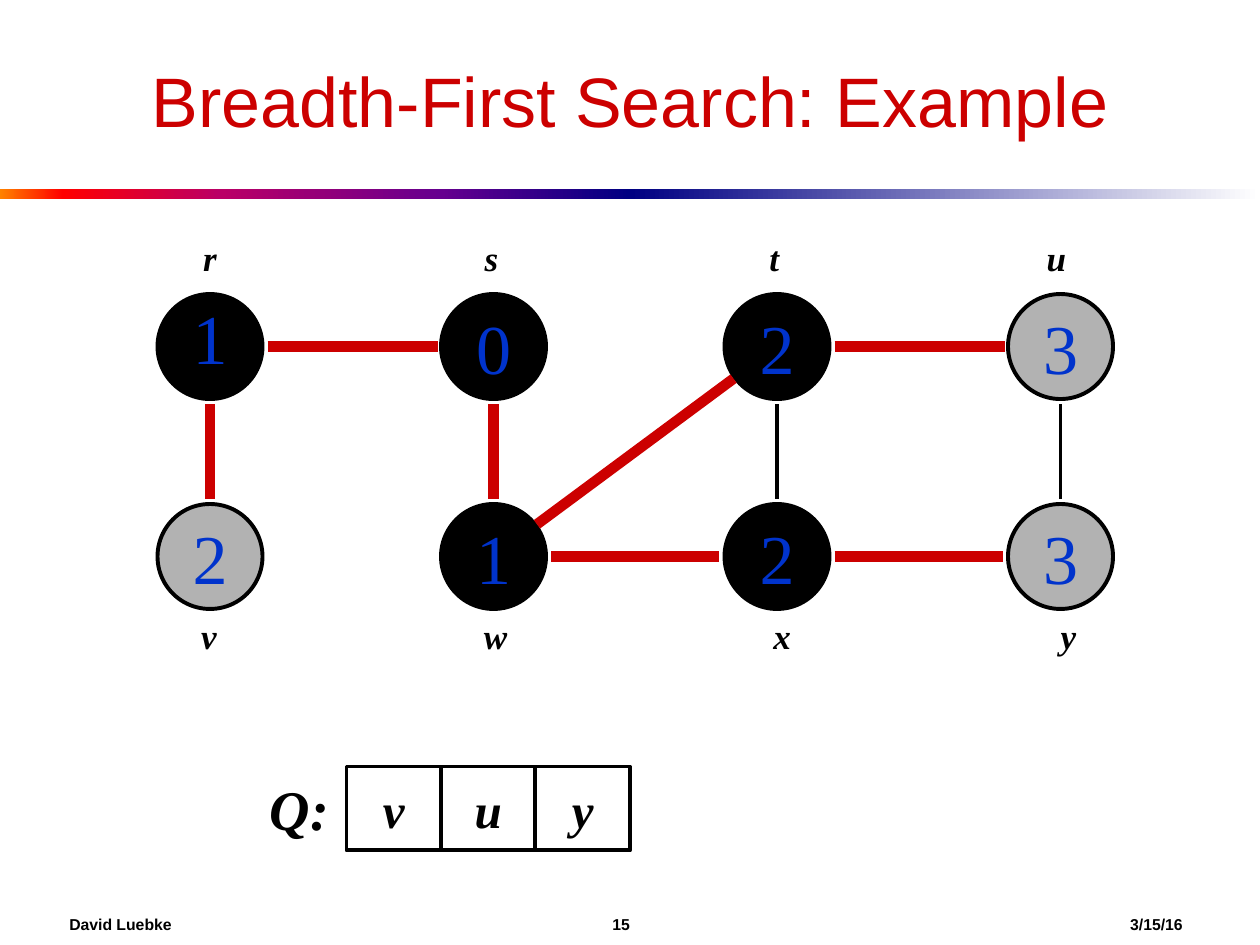
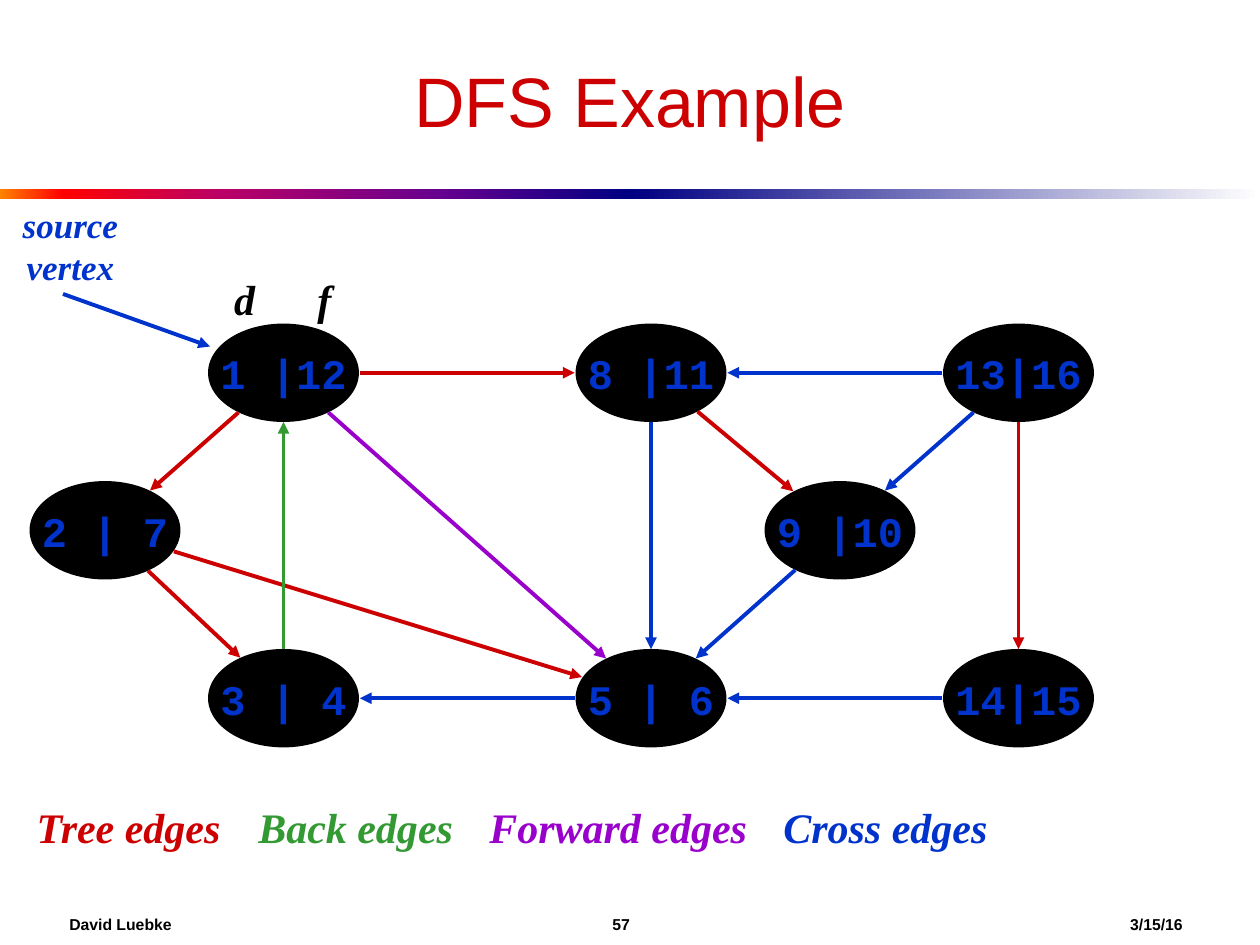
import math

import lxml.etree
import pptx
import pptx.dml.color
import pptx.enum.shapes
import pptx.enum.text
import pptx.oxml.ns
import pptx.util

WIDE, HIGH = 10, 7.5
COLS = 120  # the slide is a grid of 120 by 90 square units
UNIT = WIDE / COLS

HUES = {
    "ink": "000000", "paper": "FFFFFF", "grey": "B2B2B2", "red": "CC0000",
    "blue": "0033CC", "green": "339933", "violet": "9900CC", "navy": "000082",
}
WARM = [(0, "FF8200"), (10, "FF0000"), (35, "BA0066"), (70, "66008F"), (100, HUES["navy"])]
COOL = [(0, HUES["navy"]), (100, HUES["paper"])]

SANS, SERIF, MONO = "Arial", "Times New Roman", "Courier New"
ALIGN = pptx.enum.text.PP_ALIGN
KIND = pptx.enum.shapes.MSO_SHAPE
THIN, THICK = 2.25, 6


# Shared helpers
def grid(*units):
    return [pptx.util.Inches(unit * UNIT) for unit in units]


def shade(hue):
    return pptx.dml.color.RGBColor.from_string(HUES[hue])


def tag(parent, name, **attrs):
    return lxml.etree.SubElement(parent, pptx.oxml.ns.qn(name), attrs)


def write(shape, text, size, hue, face=SERIF, bold=False, slant=False,
          align=ALIGN.CENTER, wrap=True, lead=None):
    frame = shape.text_frame
    frame.word_wrap = wrap
    frame.vertical_anchor = pptx.enum.text.MSO_ANCHOR.MIDDLE
    frame.margin_left = frame.margin_right = pptx.util.Inches(0.05)
    frame.margin_top = frame.margin_bottom = pptx.util.Inches(0.05)
    para = frame.paragraphs[0]
    para.text = text
    para.alignment = align
    if lead:
        para.line_spacing = lead
    font = para.font
    font.name, font.size = face, pptx.util.Pt(size)
    font.bold, font.italic = bold, slant
    font.color.rgb = shade(hue)
    return para


def label(slide, box, text, size, hue, **style):
    area = slide.shapes.add_textbox(*grid(*box))
    return write(area, text, size, hue, **style)


def note(slide, box, text, size, hue="ink", **style):
    return label(slide, box, text, size, hue, bold=True, slant=True, **style)


def solid(slide, kind, box, fill=None):
    shape = slide.shapes.add_shape(kind, *grid(*box))
    shape.shadow.inherit = False
    if fill:
        shape.fill.solid()
        shape.fill.fore_color.rgb = shade(fill)
    else:
        shape.fill.background()
    shape.line.color.rgb = shade("ink")
    shape.line.width = pptx.util.Pt(THIN)
    return shape


def link(slide, start, end, hue, width=THIN, arrow=False):
    line = slide.shapes.add_connector(
        pptx.enum.shapes.MSO_CONNECTOR.STRAIGHT, *grid(*start, *end))
    line.line.color.rgb = shade(hue)
    line.line.width = pptx.util.Pt(width)
    props = line._element.spPr
    if arrow:
        tag(props.find(pptx.oxml.ns.qn("a:ln")), "a:tailEnd", type="triangle")
    tag(props, "a:effectLst")


# Frame: title, band and footer
def band(slide, box, stops):
    bar = solid(slide, KIND.RECTANGLE, box)
    bar.line.fill.background()
    bar.fill.gradient()
    bar.fill.gradient_angle = 0
    ramp = bar._element.spPr.find(".//" + pptx.oxml.ns.qn("a:gsLst"))
    for stop in list(ramp):
        ramp.remove(stop)
    for share, code in stops:
        stop = tag(ramp, "a:gs", pos=str(share * 1000))
        tag(stop, "a:srgbClr", val=code)


def foot(slide, box, number):
    para = label(slide, box, f"David Luebke\t{number}\t3/15/16", 9, "ink",
                 face=SANS, bold=True, align=ALIGN.LEFT)
    tabs = lxml.etree.Element(pptx.oxml.ns.qn("a:tabLst"))
    for stop in (4.31, 8.42):
        tag(tabs, "a:tab", pos=str(pptx.util.Inches(stop)), algn="l")
    para._p.get_or_add_pPr().insert(0, tabs)


def page(deck, title, number):
    slide = deck.slides.add_slide(deck.slide_layouts[6])
    half = COLS / 2
    band(slide, (0, 18, half, 1), WARM)
    band(slide, (half, 18, half, 1), COOL)
    foot(slide, (6, 86.6, 108, 2.9), number)
    label(slide, (6, 3, 108, 13), title, 40, "red", face=SANS)
    return slide


# Graphs: oval nodes, and edges along the lines between their centres
def rim(here, there, span, swell):
    """Point where the line to there leaves the oval, swollen a little."""
    across, down = there[0] - here[0], there[1] - here[1]
    reach = swell / math.hypot(across / (span[0] / 2), down / (span[1] / 2))
    return here[0] + across * reach, here[1] + down * reach


def graph(slide, box, span, nodes, edges, **style):
    """Draw nodes name: (col, row, text, fill), and return their centres."""
    mids = {}
    for name, (col, row, text, fill) in nodes.items():
        left, top = box[0] + col, box[1] + row
        oval = solid(slide, KIND.OVAL, (left, top, *span), fill)
        lead = 0.7 if name == "r" else None
        write(oval, text, hue="blue", wrap=False, lead=lead, **style)
        mids[name] = left + span[0] / 2, top + span[1] / 2
    for tail, head, hue, width, arrow, out, into in edges:
        start = rim(mids[tail], mids[head], span, out)
        end = rim(mids[head], mids[tail], span, into)
        link(slide, start, end, hue, width, arrow)
    return mids


def queue(slide, box, items):
    left, top, wide, high = box
    note(slide, (left, top, 7, high), "Q:", 32)
    step = (wide - 8) / len(items)
    for spot, item in enumerate(items):
        cell = solid(slide, KIND.RECTANGLE, (left + 8 + spot * step, top, step, high))
        write(cell, item, 28, "ink", bold=True, slant=True)


def legend(slide, box, kinds):
    left, top, wide, high = box
    ends = [col for col, text, hue in kinds[1:]] + [wide]
    for (col, text, hue), end in zip(kinds, ends):
        note(slide, (left + col, top, end - col, high), text, 24, hue, align=ALIGN.LEFT)


# Breadth-first slide
def breadth(deck):
    slide = page(deck, "Breadth-First Search: Example", 15)
    rows = [
        [("r", "1", "ink", 0), ("s", "0", "ink", -0.2),
         ("t", "2", "ink", -0.25), ("u", "3", "grey", -0.4)],
        [("v", "2", "grey", -0.1), ("w", "1", "ink", 0.2),
         ("x", "2", "ink", 0.5), ("y", "3", "grey", 0.75)],
    ]
    nodes, shifts = {}, {}
    for row, line in enumerate(rows):
        for col, (name, text, fill, shift) in enumerate(line):
            nodes[name] = (col * 27, row * 20, text, fill)
            shifts[name] = shift
    pairs = [
        ("v", "r", "red", 1.1, 1.1), ("r", "s", "red", 1.1, 1.05),
        ("w", "s", "red", 1.1, 1.1), ("w", "t", "red", 1.03, 1.03),
        ("w", "x", "red", 1.1, 1.1), ("x", "t", "ink", 1.1, 1.1),
        ("t", "u", "red", 1.1, 1.05), ("x", "y", "red", 1.1, 1.1),
        ("y", "u", "ink", 1.1, 1.1),
    ]
    edges = [(tail, head, hue, THICK if hue == "red" else THIN, False, out, into)
             for tail, head, hue, out, into in pairs]
    box = (15, 28, 91, 30)
    mids = graph(slide, box, (10, 10), nodes, edges, size=40)
    for name, (mid, level) in mids.items():
        top = box[1] - 6 if nodes[name][1] == 0 else box[1] + box[3]
        note(slide, (mid + shifts[name] - 3, top, 6, 5), name, 20)
    queue(slide, (25, 73, 35, 8), "vuy")


# Depth-first slide
def depth(deck):
    slide = page(deck, "DFS Example", 57)
    spots = {
        "a": (17, 0, "1 |12"), "b": (52, 0, "8 |11"), "c": (87, 0, "13|16"),
        "d": (0, 15, "2 | 7"), "e": (70, 15, "9 |10"),
        "f": (17, 31, "3 | 4"), "g": (52, 31, "5 | 6"), "h": (87, 31, "14|15"),
    }
    nodes = {name: (*spot, "ink") for name, spot in spots.items()}
    kinds = {
        "red": ("ad", "df", "dg", "ab", "be", "ch"),
        "green": ("fa",),
        "blue": ("gf", "bg", "cb", "ce", "hg", "eg"),
        "violet": ("ag",),
    }
    edges = [(tail, head, hue, THIN, True, 1.04, 1.04)
             for hue, pairs in kinds.items() for tail, head in pairs]
    graph(slide, (3, 31, 101, 40), (14, 9), nodes, edges,
          size=24, face=MONO, bold=True)

    # Source pointer and the two time marks
    note(slide, (1, 19, 11.4, 8.8), "source\nvertex", 20, "blue")
    link(slide, (6, 28), (20, 33), "blue", arrow=True)
    for mid, mark in ((23.3, "d"), (30.9, "f")):
        note(slide, (mid - 3, 25.7, 6, 5.5), mark, 24)

    legend(slide, (2.9, 76, 100, 5.5), [
        (0, "Tree edges", "red"), (21.1, "Back edges", "green"),
        (43.1, "Forward edges", "violet"), (71.1, "Cross edges", "blue"),
    ])


def main():
    deck = pptx.Presentation()
    deck.slide_width = pptx.util.Inches(WIDE)
    deck.slide_height = pptx.util.Inches(HIGH)
    breadth(deck)
    depth(deck)
    deck.save("out.pptx")


if __name__ == "__main__":
    main()
